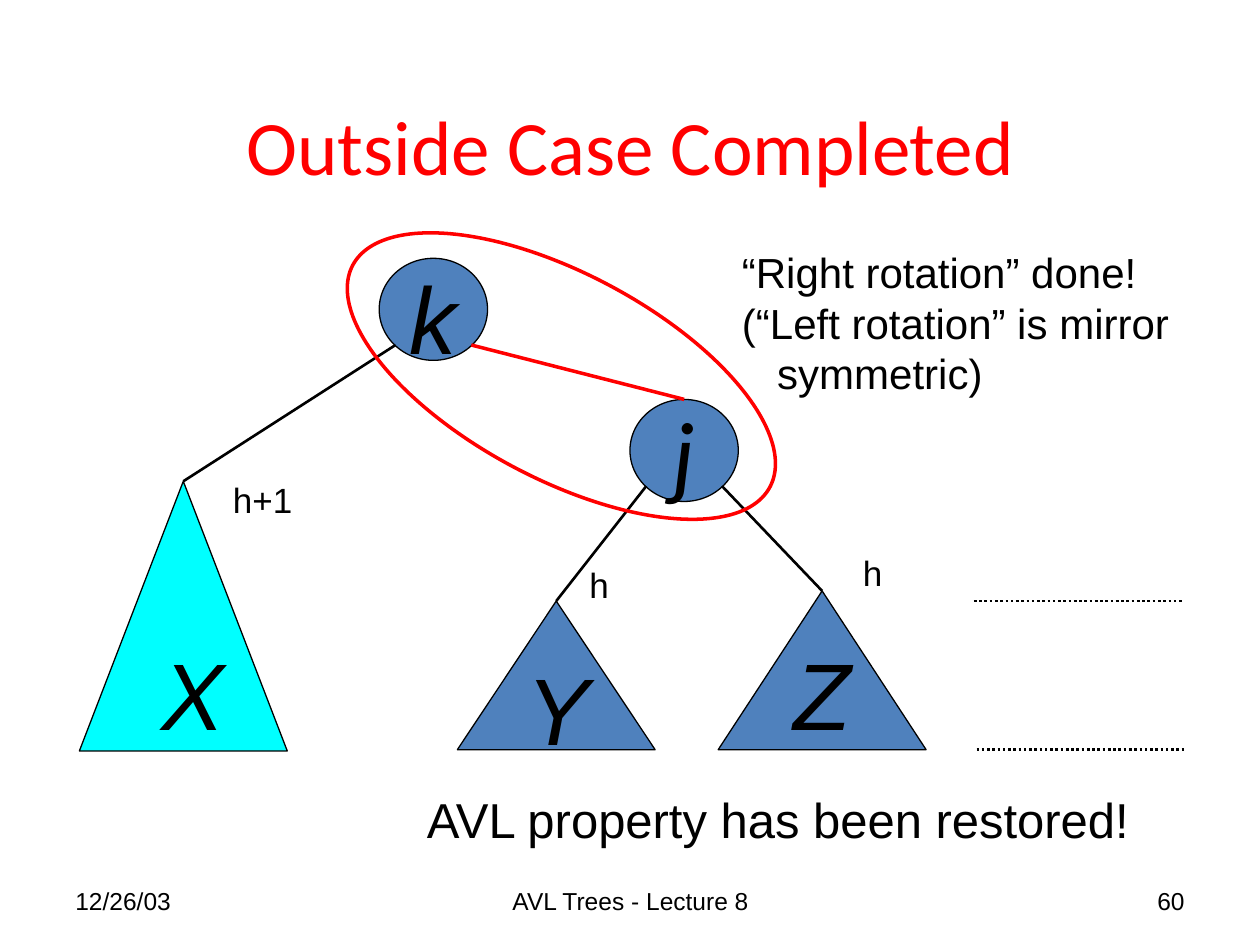
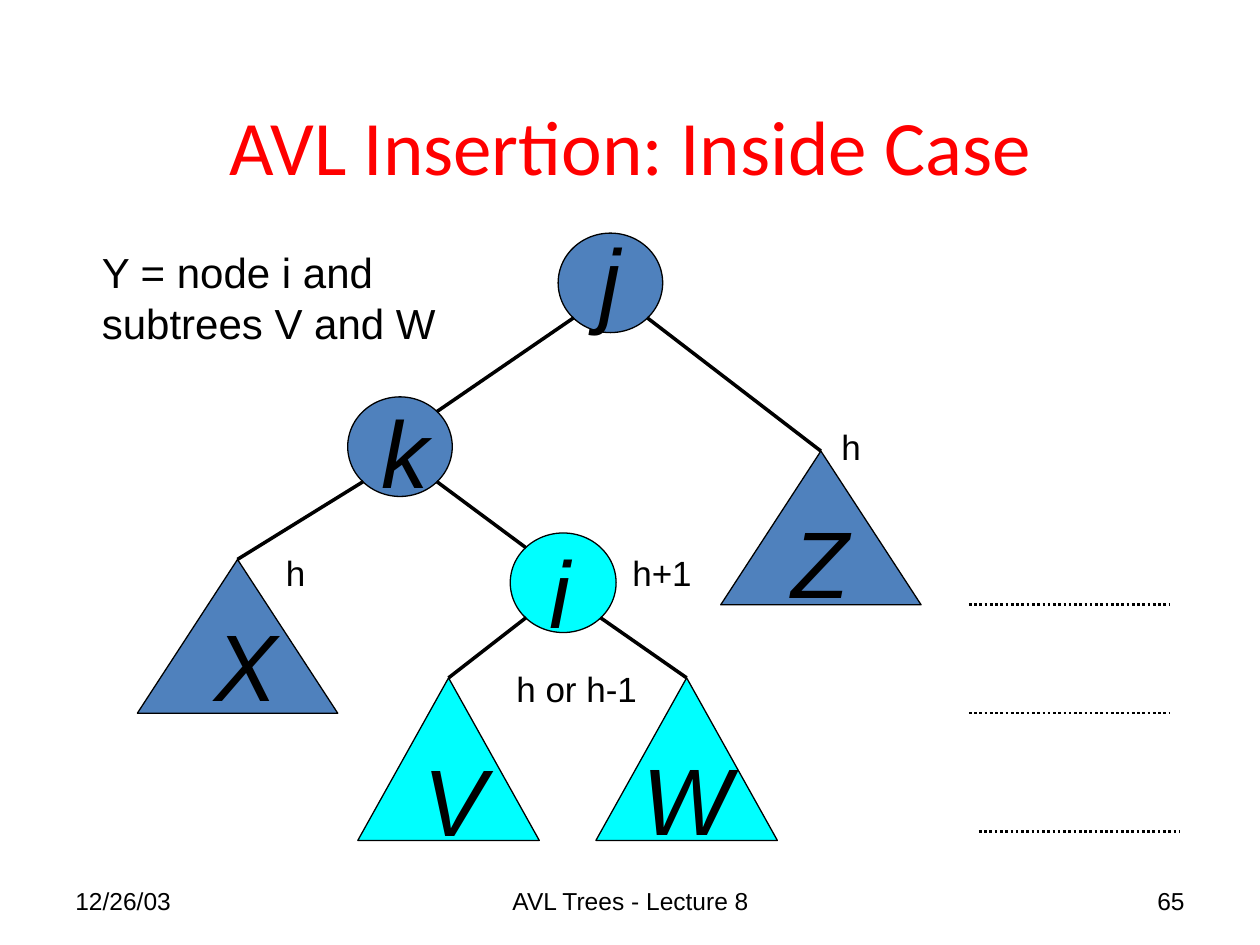
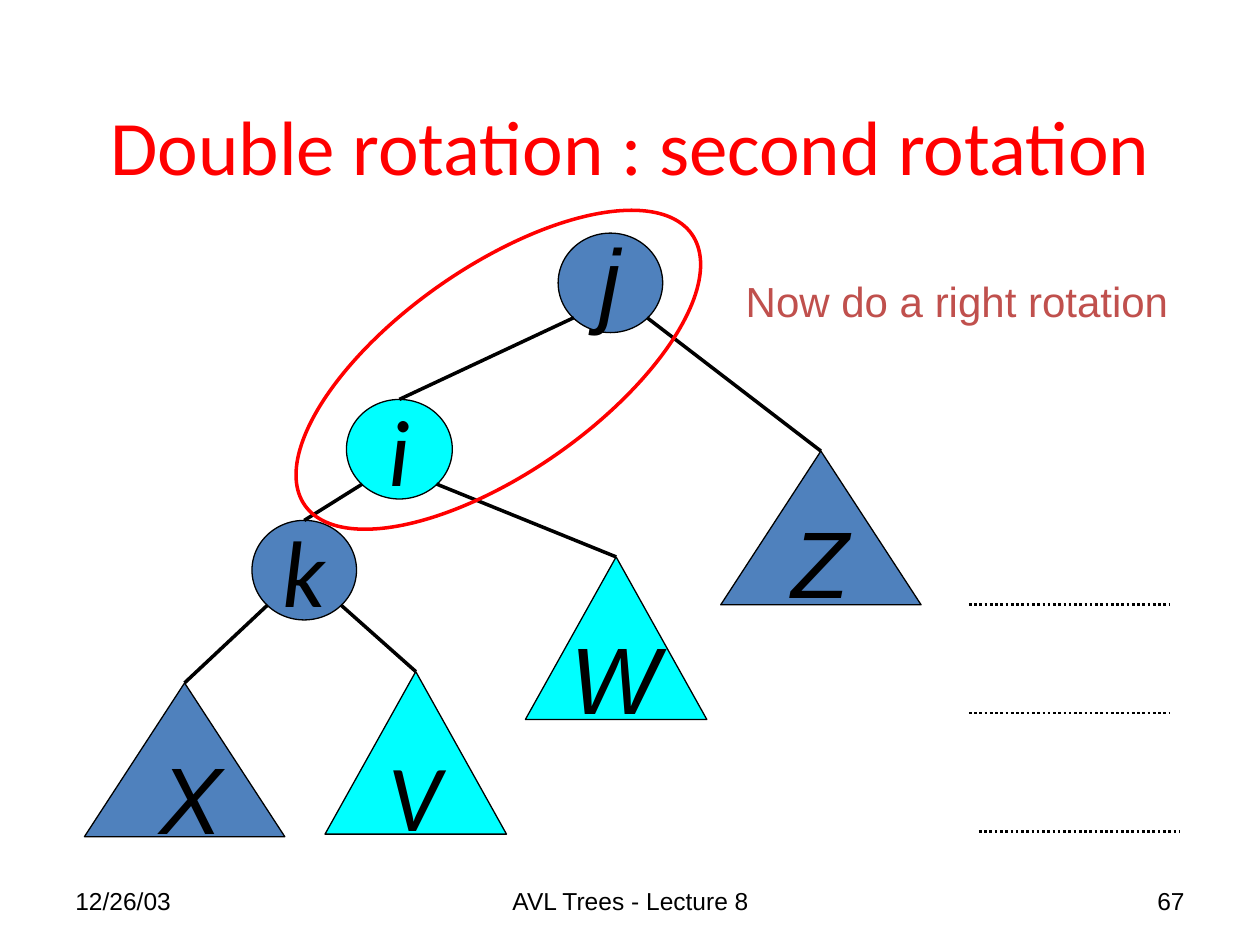
from typing import NamedTuple

from lxml.etree import SubElement
from pptx import Presentation
from pptx.dml.color import RGBColor
from pptx.enum.dml import MSO_LINE
from pptx.enum.shapes import MSO_CONNECTOR, MSO_SHAPE
from pptx.enum.text import MSO_ANCHOR, PP_ALIGN
from pptx.oxml.ns import qn
from pptx.util import Inches, Pt

COLORS = {"blue": "4F81BD", "cyan": "00FFFF", "red": "FF0000",
          "brick": "C0504D", "black": "000000"}
BODY, HEADING = "Arial", "Calibri"
LABEL_SIZE = 54
LETTER_W, LETTER_H = 0.52, 1.0


class Box(NamedTuple):
    x: float
    y: float
    w: float
    h: float

    def inches(self):
        return [Inches(v) for v in self]

    def at(self, fx, fy):
        """Point at a fraction of the width and height."""
        return self.x + self.w * fx, self.y + self.h * fy


class Node(NamedTuple):
    box: Box
    fill: str = "blue"
    label: tuple = None  # letter offset from the box; None writes inside it


# Where an edge meets a node: circle diagonals, or the top of either shape
PORTS = {"top": (0.5, 0), "nw": (0.15, 0.15), "ne": (0.85, 0.15),
         "sw": (0.15, 0.85), "se": (0.85, 0.85)}
DATE_BOX = Box(0.5, 6.95, 2.33, 0.4)
FOOTER_BOX = Box(3.42, 6.95, 3.17, 0.4)
NUMBER_BOX = Box(7.17, 6.95, 2.33, 0.4)
TITLE_BOX = Box(0.73, 0.71, 8.55, 0.88)


def rgb(name):
    return RGBColor.from_string(COLORS[name])


def add_run(p, text, size, color="black", font=BODY, italic=False):
    r = p.add_run()
    r.text = text
    r.font.size, r.font.name, r.font.italic = Pt(size), font, italic
    r.font.color.rgb = rgb(color)


def add_text(s, box, lines, size, color="black", align=PP_ALIGN.LEFT,
             anchor=MSO_ANCHOR.TOP, wrap=False, italic=False):
    tf = s.shapes.add_textbox(*box.inches()).text_frame
    tf.word_wrap, tf.vertical_anchor = wrap, anchor
    for i, line in enumerate(lines):
        p = tf.paragraphs[0] if i == 0 else tf.add_paragraph()
        p.alignment = align
        add_run(p, line, size, color, italic=italic)
    return tf


def add_line(s, start, end, color="black", width=2.0, dash=None):
    line = s.shapes.add_connector(MSO_CONNECTOR.STRAIGHT,
                                  *[Inches(v) for v in (*start, *end)])
    line.line.color.rgb, line.line.width = rgb(color), Pt(width)
    if dash:
        line.line.dash_style = dash
    SubElement(line._element.spPr, qn("a:effectLst"))


def add_outlined(s, kind, box, color="black", width=0.75, fill=None):
    sp = s.shapes.add_shape(kind, *box.inches())
    sp.shadow.inherit = False
    sp.line.color.rgb, sp.line.width = rgb(color), Pt(width)
    if fill:
        sp.fill.solid()
        sp.fill.fore_color.rgb = rgb(fill)
    else:
        sp.fill.background()
    return sp


def add_node(s, name, node):
    """Lower-case names are tree nodes, upper-case names are subtrees."""
    kind = MSO_SHAPE.OVAL if name.islower() else MSO_SHAPE.ISOSCELES_TRIANGLE
    box = node.box
    sp = add_outlined(s, kind, box, fill=node.fill)
    if node.label:
        dx, dy = node.label
        letter = Box(box.x + dx, box.y + dy, LETTER_W, LETTER_H)
        tf = add_text(s, letter, [name], LABEL_SIZE, wrap=True, italic=True)
        tf.margin_top = Inches(0.12)
    else:
        tf = sp.text_frame
        tf.word_wrap, tf.vertical_anchor = False, MSO_ANCHOR.MIDDLE
        p = tf.paragraphs[0]
        p.alignment = PP_ALIGN.CENTER
        add_run(p, name, LABEL_SIZE, font=HEADING, italic=True)


def add_tree(s, nodes, edges, width=2.0, red_edge=None):
    """Each edge is (parent, port, child, port)."""
    for name, node in nodes.items():
        add_node(s, name, node)
    for parent, out, child, into in edges:
        is_red = parent + child == red_edge
        add_line(s, nodes[parent].box.at(*PORTS[out]),
                 nodes[child].box.at(*PORTS[into]),
                 "red" if is_red else "black", 2.0 if is_red else width)


def add_ring(s, box, angle):
    add_outlined(s, MSO_SHAPE.OVAL, box, "red", 2).rotation = angle


def add_levels(s, starts, length):
    """Dotted lines marking the depth of the subtrees."""
    for x, y in starts:
        add_line(s, (x, y), (x + length, y), width=1.5,
                 dash=MSO_LINE.ROUND_DOT)


def add_heights(s, heights):
    for text, x, y, w in heights:
        add_text(s, Box(x, y, w, 0.43), [text], 20)


def new_slide(prs, title, number):
    s = prs.slides.add_slide(prs.slide_layouts[5])
    # Title
    sp = s.shapes.title
    sp.left, sp.top, sp.width, sp.height = TITLE_BOX.inches()
    tf = sp.text_frame
    tf.word_wrap, tf.vertical_anchor = True, MSO_ANCHOR.MIDDLE
    tf.paragraphs[0].alignment = PP_ALIGN.CENTER
    add_run(tf.paragraphs[0], title, 44, "red", HEADING)
    # Footer
    for box, text, align in (
            (DATE_BOX, "12/26/03", PP_ALIGN.LEFT),
            (FOOTER_BOX, "AVL Trees - Lecture 8", PP_ALIGN.CENTER),
            (NUMBER_BOX, str(number), PP_ALIGN.RIGHT)):
        add_text(s, box, [text], 14, align=align, anchor=MSO_ANCHOR.MIDDLE,
                 wrap=True)
    return s


# Parts that the two inside-case slides share
ROOT = Node(Box(4.43, 1.85, 0.83, 0.79), label=(0.23, -0.21))
RIGHT_SUBTREE = Node(Box(5.72, 3.58, 1.59, 1.22), label=(0.46, 0.3))
INSIDE_LEVELS = [(7.69, 4.8), (7.69, 5.66), (7.77, 6.6)]


def outside_case(prs):
    s = new_slide(prs, "Outside Case Completed", 60)
    nodes = {
        "j": Node(Box(5, 3.17, 0.86, 0.81)),
        "k": Node(Box(3.01, 2.05, 0.86, 0.81), label=(0.14, -0.11)),
        "X": Node(Box(0.63, 3.82, 1.65, 2.14), "cyan", (0.55, 1.11)),
        "Y": Node(Box(3.63, 4.77, 1.57, 1.18), label=(0.45, 0.28)),
        "Z": Node(Box(5.7, 4.69, 1.65, 1.26), label=(0.5, 0.24)),
    }
    edges = [("k", "sw", "X", "top"), ("j", "sw", "Y", "top"),
             ("j", "se", "Z", "top"), ("k", "se", "j", "top")]
    add_tree(s, nodes, edges, 1.5, red_edge="kj")
    add_ring(s, Box(2.58, 2.17, 3.75, 1.63), 28)
    add_levels(s, [(7.73, 4.77), (7.75, 5.95)], 1.65)
    add_heights(s, [("h", 6.75, 4.33, 0.36), ("h+1", 1.75, 3.75, 0.67),
                    ("h", 4.58, 4.42, 0.36)])
    # Remarks
    tf = add_text(s, Box(5.79, 1.91, 3.59, 1.3),
                  ["“Right rotation” done!", "(“Left rotation” is mirror",
                   "symmetric)"], 24)
    tf.paragraphs[2]._p.get_or_add_pPr().set("marL", str(Inches(0.28)))
    add_text(s, Box(3.29, 6.22, 5.83, 0.57),
             ["AVL property has been restored!"], 28)


def inside_case(prs):
    s = new_slide(prs, "AVL Insertion: Inside Case", 65)
    nodes = {
        "j": ROOT,
        "k": Node(Box(2.76, 3.15, 0.83, 0.79), label=(0.17, -0.14)),
        "X": Node(Box(1.09, 4.44, 1.59, 1.22), label=(0.51, 0.26)),
        "V": Node(Box(2.84, 5.38, 1.44, 1.29), "cyan", (0.42, 0.39)),
        "Z": RIGHT_SUBTREE,
        "W": Node(Box(4.73, 5.38, 1.44, 1.29), "cyan", (0.27, 0.38)),
        "i": Node(Box(4.05, 4.23, 0.84, 0.79), "cyan", (0.21, -0.11)),
    }
    edges = [("j", "sw", "k", "ne"), ("j", "se", "Z", "top"),
             ("k", "sw", "X", "top"), ("k", "se", "i", "nw"),
             ("i", "sw", "V", "top"), ("i", "se", "W", "top")]
    add_tree(s, nodes, edges)
    add_levels(s, INSIDE_LEVELS, 1.59)
    add_heights(s, [("h", 6.58, 3.33, 0.36), ("h+1", 4.92, 4.33, 0.67),
                    ("h", 2.17, 4.33, 0.36), ("h or h-1", 4, 5.25, 1.16)])
    add_text(s, Box(0.71, 1.91, 2.85, 0.9),
             ["Y = node i and", "subtrees V and W"], 24)


def second_rotation(prs):
    s = new_slide(prs, "Double rotation : second rotation", 67)
    nodes = {
        "j": ROOT,
        "k": Node(Box(2, 4.13, 0.83, 0.79)),
        "X": Node(Box(0.67, 5.42, 1.59, 1.22), label=(0.5, 0.33)),
        "V": Node(Box(2.58, 5.33, 1.44, 1.29), "cyan"),
        "Z": RIGHT_SUBTREE,
        "W": Node(Box(4.17, 4.42, 1.44, 1.29), "cyan", (0.26, 0.38)),
        "i": Node(Box(2.75, 3.17, 0.84, 0.79), "cyan"),
    }
    edges = [("j", "sw", "i", "top"), ("j", "se", "Z", "top"),
             ("i", "sw", "k", "top"), ("i", "se", "W", "top"),
             ("k", "sw", "X", "top"), ("k", "se", "V", "top")]
    add_tree(s, nodes, edges)
    add_ring(s, Box(2.08, 2.12, 3.75, 1.63), 325)
    add_levels(s, INSIDE_LEVELS, 1.59)
    add_text(s, Box(5.82, 2.14, 3.56, 0.5), ["Now do a right rotation"], 24,
             "brick")


def main():
    prs = Presentation()
    prs.slide_width, prs.slide_height = Inches(10), Inches(7.5)
    outside_case(prs)
    inside_case(prs)
    second_rotation(prs)
    prs.save("out.pptx")


if __name__ == "__main__":
    main()
